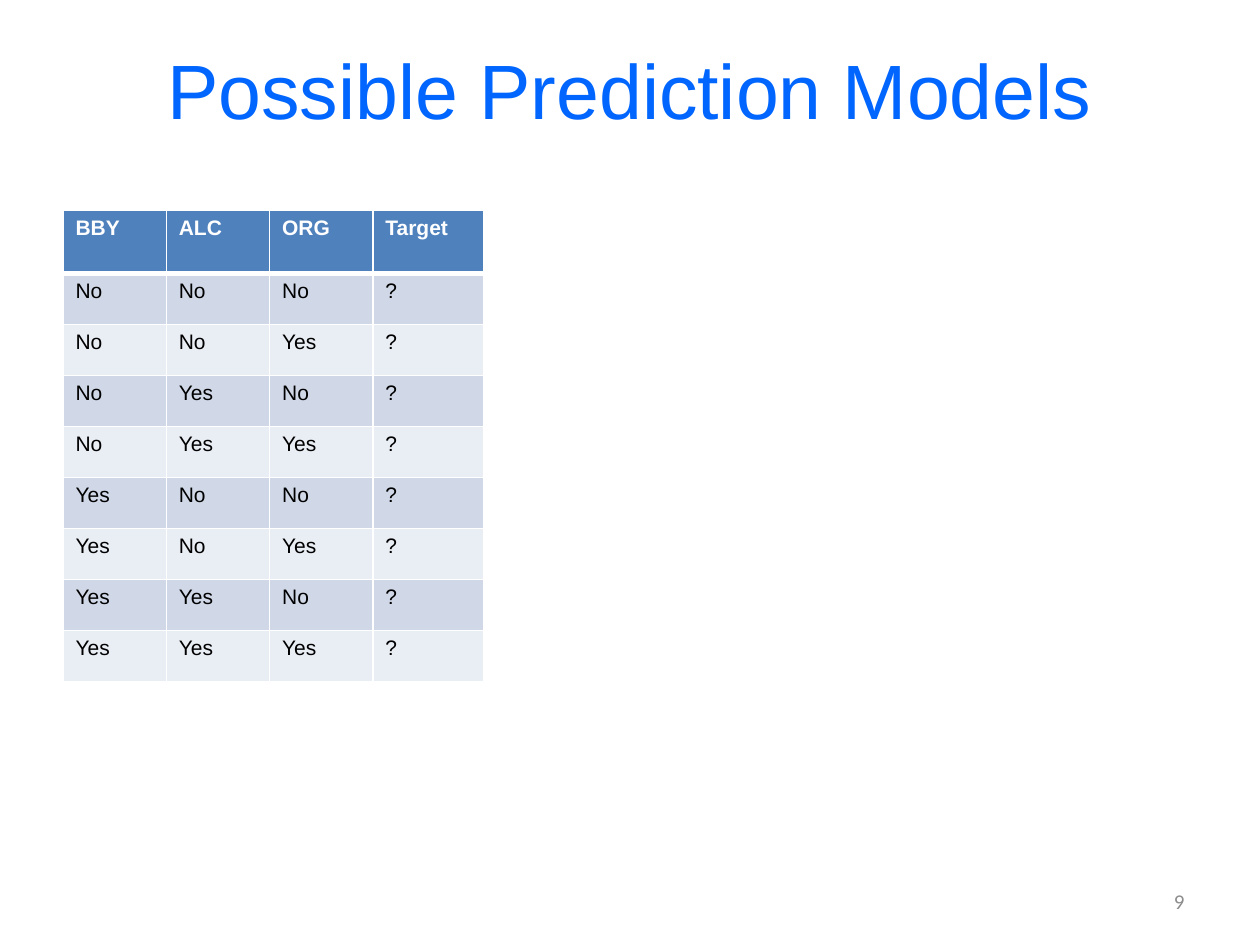
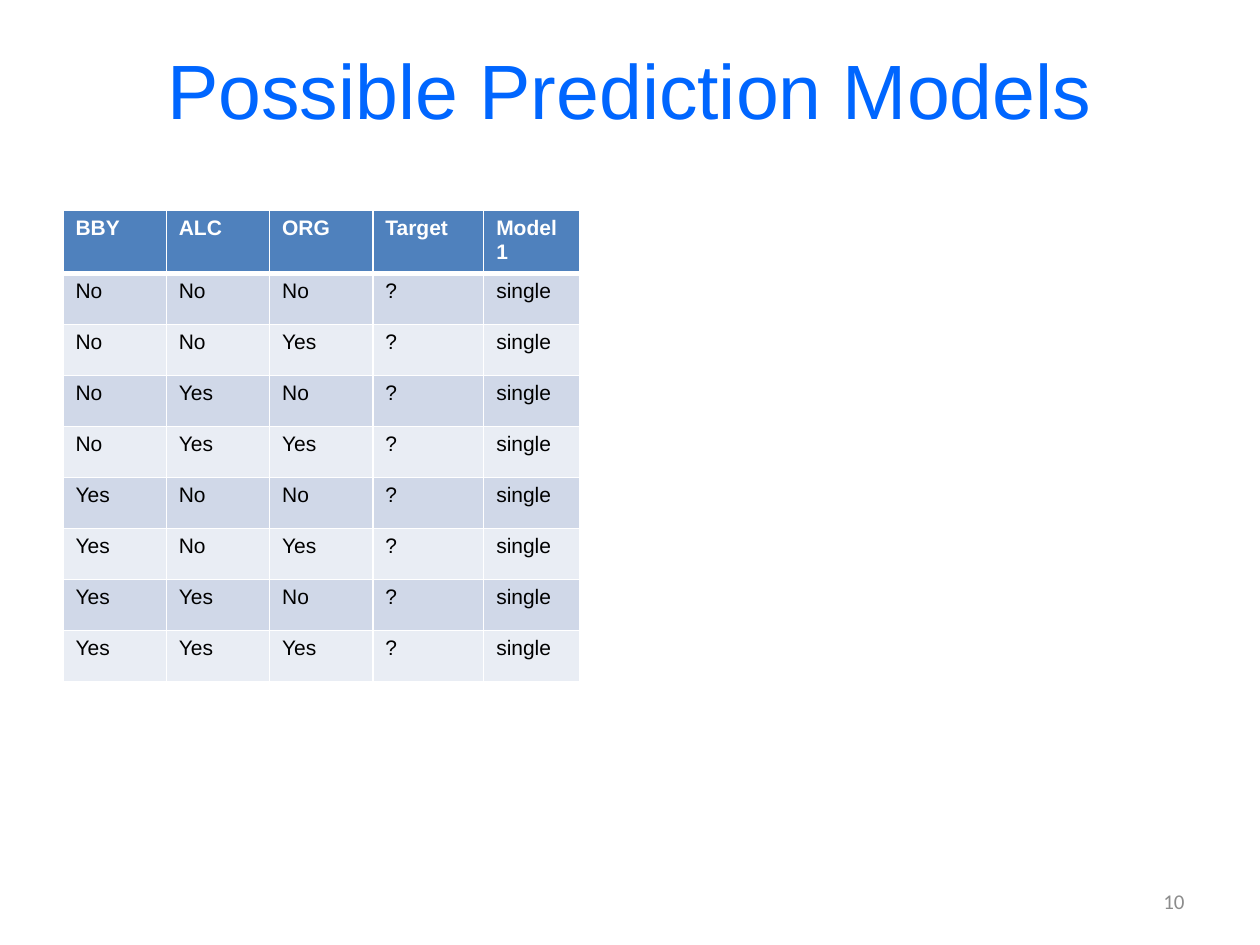
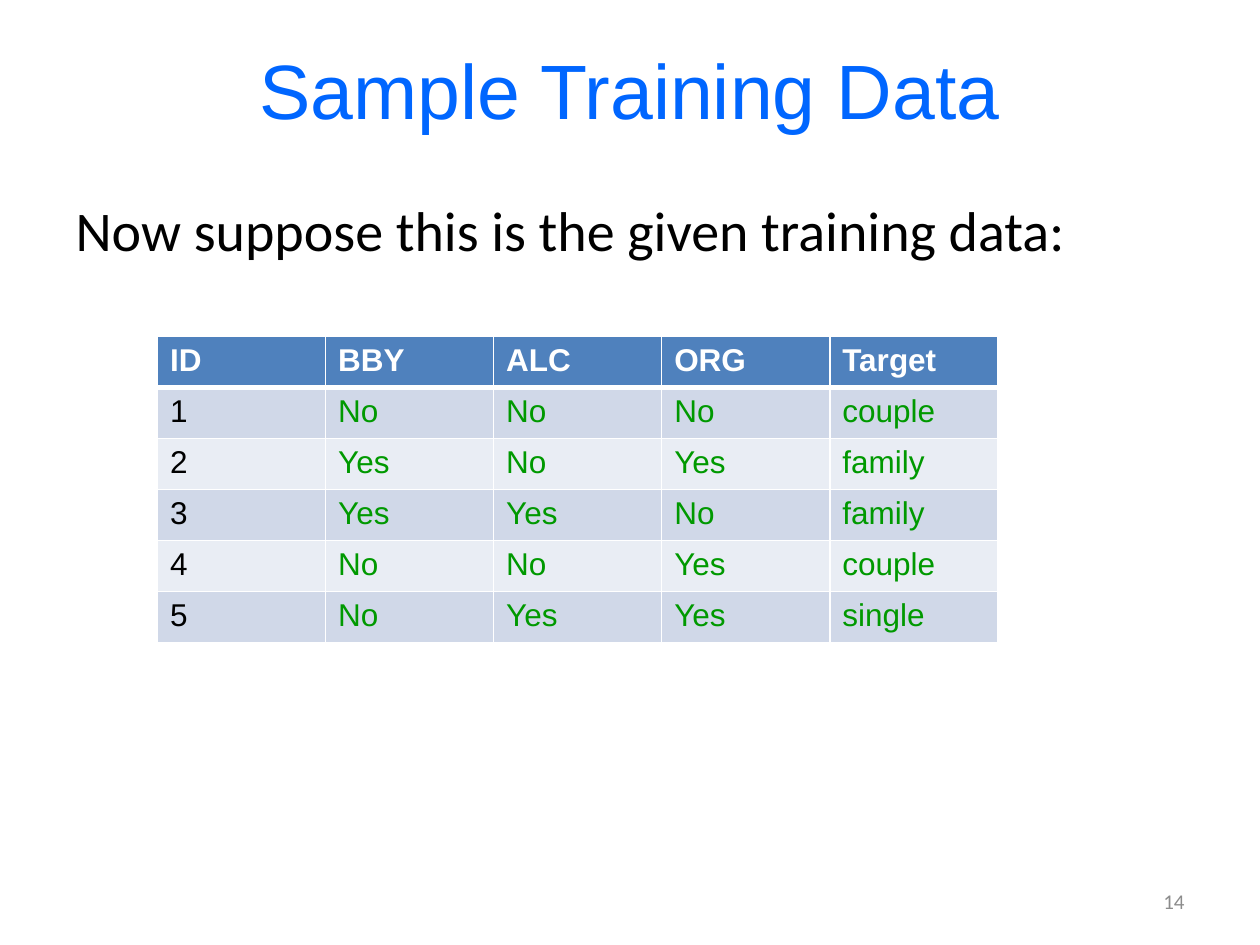
from itertools import product

from lxml.etree import SubElement
from pptx import Presentation
from pptx.dml.color import RGBColor
from pptx.enum.text import MSO_ANCHOR as Anchor, MSO_AUTO_SIZE as AutoSize, PP_ALIGN as Align
from pptx.oxml.ns import qn
from pptx.util import Inches, Pt

BLUE, GREEN, GREY, BLACK, WHITE = "0066FF", "009900", "8C8C8C", "000000", "FFFFFF"
HEADER_FILL, BAND_FILLS = "4F81BD", ("D0D8E8", "E9EDF4")
TITLE_BOX = (0.5, 0.08, 9, 1.25)
BODY_BOX = (0.5, 1.5, 9, 5.67)
NUMBER_BOX = (7.17, 6.95, 2.33, 0.4)
PRODUCTS = ["BBY", "ALC", "ORG"]
TRAINING_ROWS = [
    ["1", "No", "No", "No", "couple"],
    ["2", "Yes", "No", "Yes", "family"],
    ["3", "Yes", "Yes", "No", "family"],
    ["4", "No", "No", "Yes", "couple"],
    ["5", "No", "Yes", "Yes", "single"],
]


def rgb(color):
    """Turn a hex string into a colour."""
    return RGBColor.from_string(color)


def write(frame, text, size, color, font="Arial", align=Align.LEFT, bold=False):
    """Put one formatted paragraph into a text frame."""
    frame.text = text
    paragraph = frame.paragraphs[0]
    paragraph.alignment = align
    for run in paragraph.runs:
        run.font.size, run.font.name, run.font.bold = Pt(size), font, bold
        run.font.color.rgb = rgb(color)


def place(shape, box):
    """Move a placeholder to a box and stop it from shrinking its text."""
    shape.left, shape.top, shape.width, shape.height = map(Inches, box)
    shape.text_frame.auto_size = AutoSize.NONE
    shape.text_frame.word_wrap = True


def add_page(deck, layout, title, number):
    """Add a slide with its title and page number."""
    slide = deck.slides.add_slide(deck.slide_layouts[layout])
    heading = slide.shapes.title
    place(heading, TITLE_BOX)
    heading.text_frame.vertical_anchor = Anchor.MIDDLE
    write(heading.text_frame, title, 44, BLUE, align=Align.CENTER)
    page_number = slide.shapes.add_textbox(*map(Inches, NUMBER_BOX)).text_frame
    page_number.word_wrap = True
    page_number.vertical_anchor = Anchor.MIDDLE
    write(page_number, str(number), 12, GREY, "Calibri", Align.RIGHT)
    return slide


def set_borders(cell, top, bottom):
    """Draw white borders round a cell, with the given top and bottom widths."""
    properties = cell._tc.get_or_add_tcPr()
    for side, width in (("L", 1), ("R", 1), ("T", top), ("B", bottom)):
        line = SubElement(properties, qn(f"a:ln{side}"), w=str(Pt(width)))
        fill = SubElement(line, qn("a:solidFill"))
        SubElement(fill, qn("a:srgbClr"), val=WHITE)


def add_data_table(slide, box, rows, widths, header_height, size, value_color=BLACK):
    """Add a banded table whose first row is the header."""
    table = slide.shapes.add_table(len(rows), len(widths), *map(Inches, box)).table
    for column, width in zip(table.columns, widths):
        column.width = Inches(width)
    row_height = (box[3] - header_height) / (len(rows) - 1)
    for r, values in enumerate(rows):
        table.rows[r].height = Inches(row_height if r else header_height)
        for c, value in enumerate(values):
            cell = table.cell(r, c)
            set_borders(cell, top=3 if r == 1 else 1, bottom=1 if r else 3)
            cell.fill.solid()
            cell.fill.fore_color.rgb = rgb(BAND_FILLS[(r - 1) % 2] if r else HEADER_FILL)
            color = WHITE if r == 0 else value_color if c else BLACK
            write(cell.text_frame, value, size, color, bold=r == 0)


def add_models_slide(deck, number, models=()):
    """Add every product combination with the outcome of each model."""
    slide = add_page(deck, 5, "Possible Prediction Models", number)
    header = PRODUCTS + ["Target"] + [name for name, _ in models]
    outcomes = ["?"] + [outcome for _, outcome in models]
    rows = [header] + [[*answers, *outcomes] for answers in product(("No", "Yes"), repeat=3)]
    widths = [0.82] * 3 + [0.88] + [0.76] * len(models)
    add_data_table(slide, (0.5, 1.67, sum(widths), 3.74), rows, widths, 0.5, 12)


def add_training_slide(deck, number):
    """Add the training data under its introduction."""
    slide = add_page(deck, 1, "Sample Training Data", number)
    introduction = slide.placeholders[1]
    place(introduction, BODY_BOX)
    write(introduction.text_frame, "Now suppose this is the given training data:", 32, BLACK, "Calibri")
    paragraph = introduction.text_frame.paragraphs[0]
    paragraph.space_before = Pt(0)
    properties = paragraph._p.get_or_add_pPr()
    properties.set("marL", "0")
    properties.set("indent", "0")
    SubElement(properties, qn("a:buNone"))
    box = (1.25, 2.67, 6.67, 2.43)
    rows = [["ID", *PRODUCTS, "Target"]] + TRAINING_ROWS
    add_data_table(slide, box, rows, [box[2] / 5] * 5, box[3] / len(rows), 18, GREEN)


def main():
    """Build the deck."""
    deck = Presentation()
    deck.slide_width, deck.slide_height = Inches(10), Inches(7.5)
    add_models_slide(deck, 9)
    add_models_slide(deck, 10, [("Model1", "single")])
    add_training_slide(deck, 14)
    deck.save("out.pptx")


if __name__ == "__main__":
    main()
